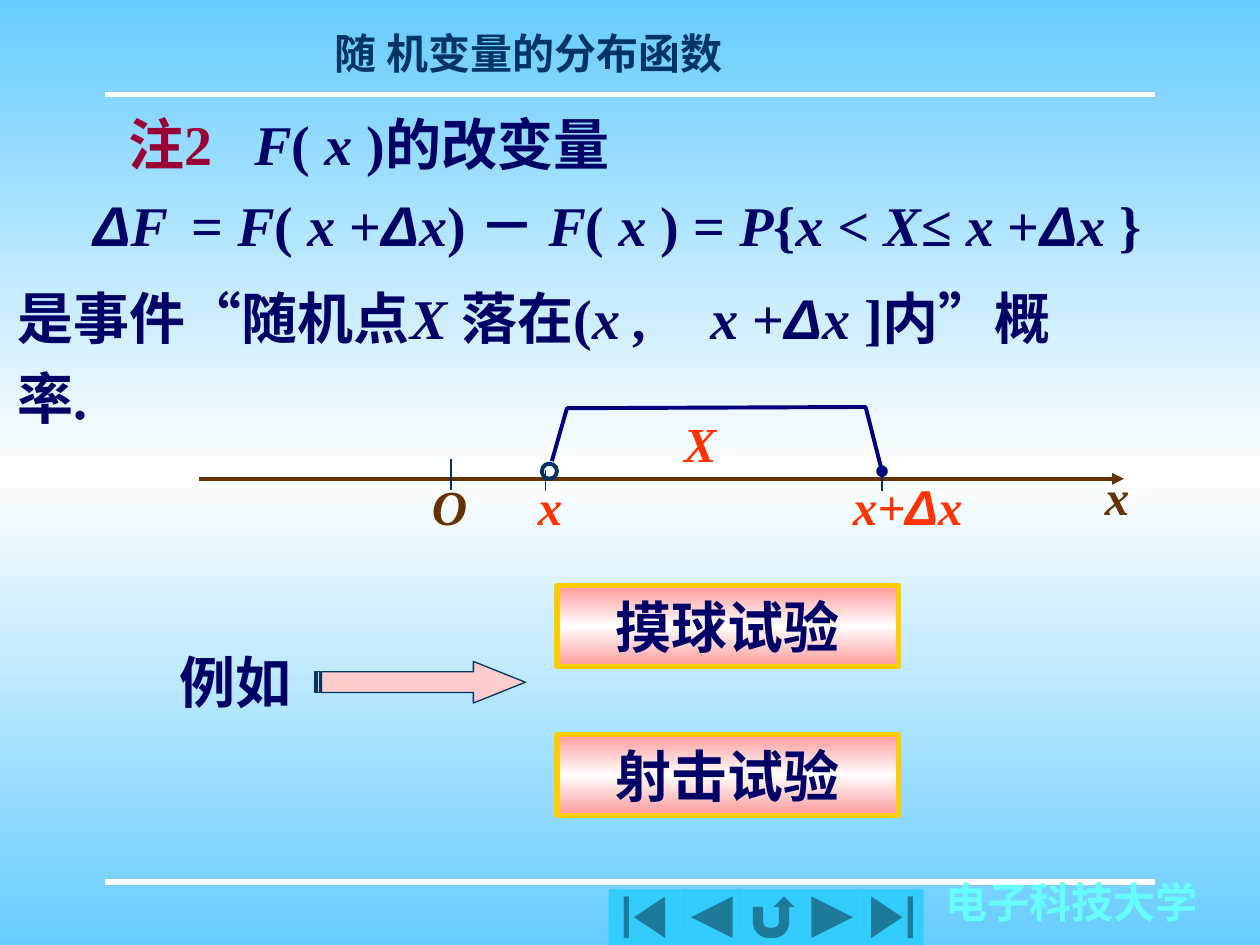
from lxml import etree
from pptx import Presentation
from pptx import util as u
from pptx.dml.color import RGBColor
from pptx.enum import shapes, text
from pptx.oxml.ns import qn

SKY, WHITE = RGBColor(0x66, 0xCC, 0xFF), RGBColor(0xFF, 0xFF, 0xFF)
NAVY, INK, BLUE = RGBColor(0, 0, 0x66), RGBColor(0, 0x33, 0x66), RGBColor(0, 0, 0x80)
BROWN, ORANGE, WINE = RGBColor(0x66, 0x33, 0), RGBColor(0xFF, 0x33, 0), RGBColor(0x99, 0, 0x33)
AQUA, BUTTON = RGBColor(0x66, 0xFF, 0xFF), RGBColor(0x33, 0xCC, 0xFF)
PINK, ROSE, GOLD = RGBColor(0xFF, 0xCC, 0xCC), RGBColor(0xFF, 0x99, 0x99), RGBColor(0xFF, 0xCC, 0)
SERIF, SANS, HAN = "Times New Roman", "Arial", "Noto Sans CJK SC"

# Content: runs are (text, style); styles are u upright, i italic, d delta, n note
TITLE = "随 机变量的分布函数"
SCHOOL = "电子科技大学"
NOTE = [("注2", "n"), ("\t", "u"), ("F", "i"), ("( ", "u"), ("x", "i"), (" )的改变量", "u")]
FORMULA = [("Δ", "d"), ("F\t", "i"), ("= ", "u"), ("F", "i"), ("( ", "u"), ("x", "i"),
           (" +", "u"), ("Δ", "d"), ("x", "i"), (") － ", "u"), ("F", "i"), ("( ", "u"),
           ("x", "i"), (" ) = ", "u"), ("P", "i"), ("{", "u"), ("x < X", "i"), ("≤", "u"),
           (" x", "i"), (" +", "u"), ("Δ", "d"), ("x ", "i"), ("}", "u")]
EVENT = [("是事件“随机点", "u"), ("X ", "i"), ("落在(", "u"), ("x ,\tx", "i"), (" +", "u"),
         ("Δ", "d"), ("x ", "i"), ("]内”概率.", "u")]
LABELS = [  # runs, left, top, width, colour
    ([("O", "i")], 3.33, 3.73, 0.5, BROWN),
    ([("x", "i")], 8.67, 3.65, 0.5, BROWN),
    ([("x", "i")], 4.17, 3.73, 0.5, ORANGE),
    ([("x+", "i"), ("Δ", "d"), ("x", "i")], 6.67, 3.73, 1.58, ORANGE),
    ([("X", "i")], 5.33, 3.23, 0.58, ORANGE),
]
TICKS = [(3.58, 3.64, 3.89), (4.33, 3.73, 3.9), (7, 3.73, 3.9)]  # x, top, bottom
BRACKET = [(4.38, 3.66), (4.5, 3.24), (6.87, 3.23), (7, 3.74)]
EXAMPLE = "例如"
EXPERIMENTS = ["摸球试验", "射击试验"]
PRESET = shapes.MSO_SHAPE
BUTTONS = [(PRESET.ACTION_BUTTON_BEGINNING, 0.57), (PRESET.ACTION_BUTTON_BACK_OR_PREVIOUS, 0.5),
           (PRESET.ACTION_BUTTON_RETURN, 0.48), (PRESET.ACTION_BUTTON_FORWARD_OR_NEXT, 0.45),
           (PRESET.ACTION_BUTTON_END, 0.5)]

presentation = Presentation()
presentation.slide_width, presentation.slide_height = u.Inches(10), u.Inches(7.5)
slide = presentation.slides.add_slide(presentation.slide_layouts[5])


def inches(*values):
    return [u.Inches(value) for value in values]


def set_gradient(fill, element, outer):
    fill.gradient()
    fill.gradient_angle = 90
    stops = element.find(".//" + qn("a:gsLst"))
    for stop in list(stops):
        stops.remove(stop)
    for position, color in ((0, outer), (50000, WHITE), (100000, outer)):
        stop = etree.SubElement(stops, qn("a:gs"), pos=str(position))
        etree.SubElement(stop, qn("a:srgbClr"), val=str(color))


def add_runs(paragraph, runs, size, color, name=SERIF):
    for words, style in runs:
        run = paragraph.add_run()
        run.text = words
        font = run.font
        font.size, font.bold, font.italic = u.Pt(size), True, style in "id"
        font.color.rgb = WINE if style == "n" else color
        font.name = SANS if style == "d" else name
        latin = font._element.find(qn("a:latin"))
        latin.addnext(etree.Element(qn("a:ea"), typeface=HAN))


def indent_first_line(paragraph, indent, tab):
    properties = paragraph._p.get_or_add_pPr()
    properties.set("marL", "0")
    properties.set("indent", str(u.Inches(indent)))
    tabs = etree.SubElement(properties, qn("a:tabLst"))
    etree.SubElement(tabs, qn("a:tab"), pos=str(u.Inches(tab)), algn="l")


def add_text(left, top, width, height, runs, size, color, name=SERIF, wrap=True):
    box = slide.shapes.add_textbox(*inches(left, top, width, height))
    box.text_frame.word_wrap = wrap
    paragraph = box.text_frame.paragraphs[0]
    add_runs(paragraph, runs, size, color, name)
    return paragraph, box.text_frame


def add_end(line, kind):
    etree.SubElement(line._get_or_add_ln(), qn("a:tailEnd"), type=kind)


def add_line(x1, y1, x2, y2, color, width):
    connector = slide.shapes.add_connector(shapes.MSO_CONNECTOR.STRAIGHT, *inches(x1, y1, x2, y2))
    connector.line.color.rgb, connector.line.width = color, u.Pt(width)
    etree.SubElement(connector._element.spPr, qn("a:effectLst"))
    return connector


def add_preset(kind, left, top, width, height, fill=None, line=None, weight=0.75):
    shape = slide.shapes.add_shape(kind, *inches(left, top, width, height))
    shape.shadow.inherit = False
    if fill is None:
        shape.fill.background()
    else:
        shape.fill.solid()
        shape.fill.fore_color.rgb = fill
    if line is None:
        shape.line.fill.background()
    else:
        shape.line.color.rgb, shape.line.width = line, u.Pt(weight)
    return shape


# Background, rules, title and school name
set_gradient(slide.background.fill, slide._element, SKY)
for y in (7, 0.75):
    add_line(0.83, y, 9.17, y, WHITE, 3)
title = slide.shapes.title
title.left, title.top, title.width, title.height = inches(2, 0.17, 4.39, 0.5)
title.text_frame.auto_size = text.MSO_AUTO_SIZE.NONE
title.text_frame.vertical_anchor = text.MSO_ANCHOR.TOP
title.text_frame.paragraphs[0].alignment = text.PP_ALIGN.CENTER
add_runs(title.text_frame.paragraphs[0], [(TITLE, "u")], 24, INK)
school, _ = add_text(7.41, 7.02, 2.2, 0.38, [(SCHOOL, "u")], 24, AQUA, wrap=False)
school.line_spacing = 0.7

# Note, formula and explanation
note, frame = add_text(0.42, 0.77, 9.33, 1.33, NOTE, 32, NAVY)
note.line_spacing = 1.1
indent_first_line(note, 0.5, 1.57)
formula = frame.add_paragraph()
formula.line_spacing = 1.2
indent_first_line(formula, 0.22, 1.03)
add_runs(formula, FORMULA, 32, NAVY)
event, _ = add_text(0.04, 2.09, 8.76, 1.38, EVENT, 32, NAVY)
event.line_spacing = 1.2
indent_first_line(event, 0, 5.54)

# Number line with the half-open interval
add_end(add_line(1.58, 3.8, 8.92, 3.8, BROWN, 2.25).line, "triangle")
for x, top, bottom in TICKS:
    add_line(x, top, x, bottom, INK, 0.75)
for runs, left, top, width, color in LABELS:
    add_text(left, top, width, 0.57, runs, 28, color)
points = [inches(*point) for point in BRACKET]
builder = slide.shapes.build_freeform(*points[0], scale=1.0)
builder.add_line_segments(points[1:], close=False)
bracket = builder.convert_to_shape()
bracket.shadow.inherit = False
bracket.fill.background()
bracket.line.color.rgb, bracket.line.width = BLUE, u.Pt(2.25)
add_end(bracket.line, "oval")
add_preset(PRESET.OVAL, 4.3, 3.68, 0.12, 0.12, line=INK, weight=2.25)

# Examples
add_text(1.33, 5.09, 1.42, 0.64, [(EXAMPLE, "u")], 32, NAVY, HAN)
arrow = add_preset(PRESET.STRIPED_RIGHT_ARROW, 2.5, 5.25, 1.67, 0.33, PINK, INK)
arrow.adjustments[1] = 1.25
for row, words in enumerate(EXPERIMENTS):
    box = add_preset(PRESET.RECTANGLE, 4.42, 4.65 + row * 1.18, 2.71, 0.64, line=GOLD, weight=3)
    set_gradient(box.fill, box._element, ROSE)
    paragraph = box.text_frame.paragraphs[0]
    paragraph.alignment = text.PP_ALIGN.CENTER
    add_runs(paragraph, [(words, "u")], 32, NAVY, HAN)

# Navigation buttons, side by side
left = 4.83
for kind, width in BUTTONS:
    add_preset(kind, left, 7.06, width, 0.44, BUTTON)
    left += width

presentation.save("out.pptx")
